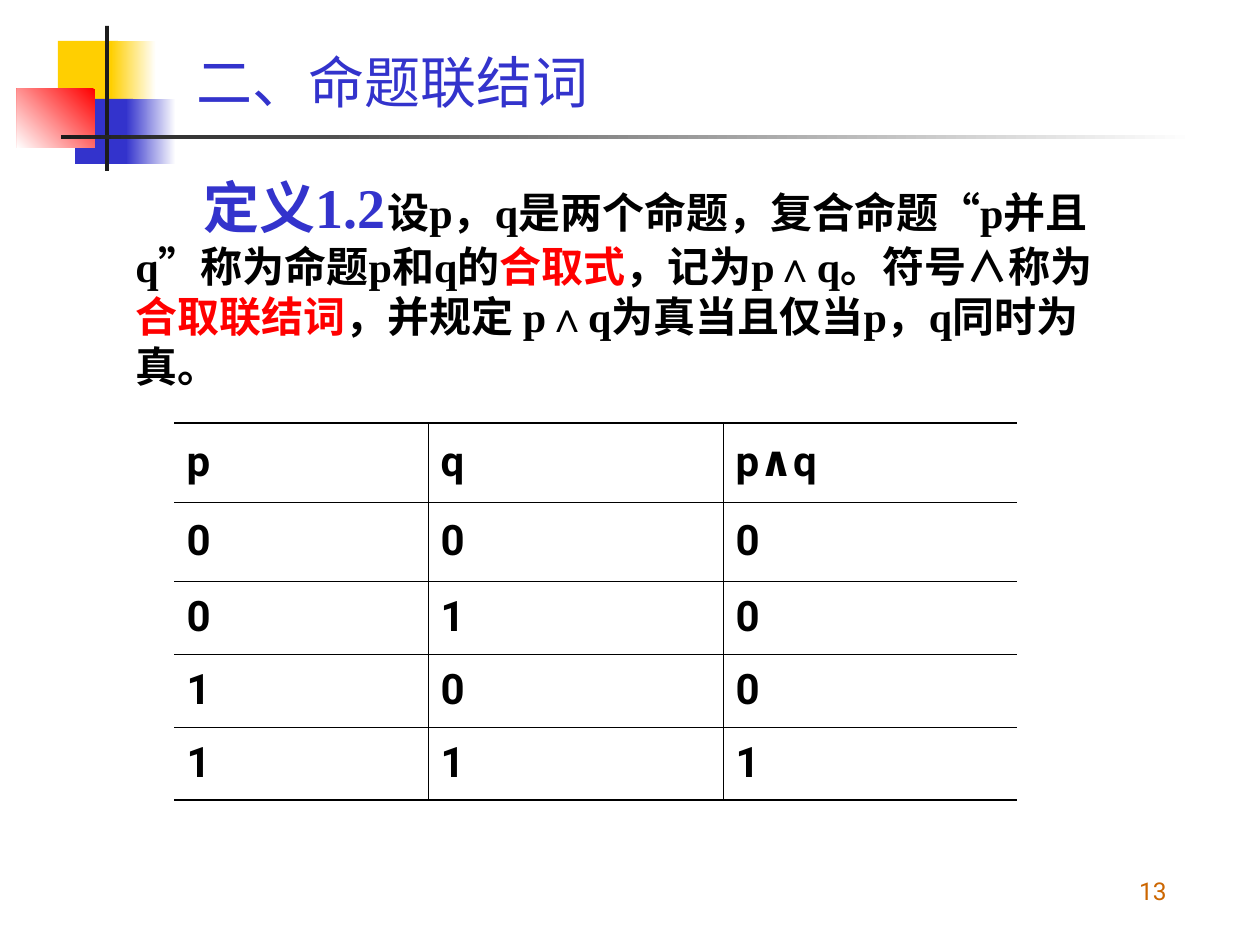
import pptx
import pptx.dml.color
import pptx.enum.shapes
import pptx.enum.text
import pptx.oxml
import pptx.oxml.ns
import pptx.util

EMU_PER_PX = 914400 / 126
BLUE, RED, BLACK, WHITE = "3333CC", "FF0000", "000000", "FFFFFF"
YELLOW, CHARCOAL, ORANGE = "FFCF01", "1C1C1C", "CC6600"
THIN, THICK = 0.45, 1.08

DEFINITION = [
    ("定义1.2", 32, BLUE),
    ("\t设p，q是两个命题，复合命题“p并且q”称为命题p和q的", 24, BLACK),
    ("合取式", 24, RED),
    ("，记为p∧q。符号∧称为", 24, BLACK),
    ("合取联结词", 24, RED),
    ("，并规定 p∧q为真当且仅当p，q同时为真。", 24, BLACK),
]
TRUTH_TABLE = [
    ("p", "q", "p∧q"),
    ("0", "0", "0"),
    ("0", "1", "0"),
    ("1", "0", "0"),
    ("1", "1", "1"),
]
COLUMN_WIDTHS = [254, 295, 294]
ROW_HEIGHTS = [79, 79, 73, 73, 73]


def px(value):
    return pptx.util.Emu(round(value * EMU_PER_PX))


def rgb(hex_string):
    return pptx.dml.color.RGBColor.from_string(hex_string)


def style(font, size, color, name="Roboto", bold=False):
    font.name, font.size, font.bold = name, pptx.util.Pt(size), bold
    font.color.rgb = rgb(color)


def add_block(slide, box, start, end=None, angle=180):
    """Add a rectangle, plain or fading from start to end (angle counter-clockwise)."""
    block = slide.shapes.add_shape(
        pptx.enum.shapes.MSO_SHAPE.RECTANGLE, *map(px, box))
    block.shadow.inherit = False
    block.line.fill.background()
    if end is None:
        block.fill.solid()
        block.fill.fore_color.rgb = rgb(start)
    else:
        block.fill.gradient()
        block.fill.gradient_angle = angle
        for stop, color in zip(block.fill.gradient_stops, (start, end)):
            stop.color.rgb = rgb(color)


def add_ornament(slide):
    add_block(slide, (58, 41, 60, 65), YELLOW)
    add_block(slide, (111, 41, 45, 65), WHITE, YELLOW)
    add_block(slide, (75, 99, 58, 65), BLUE)
    add_block(slide, (126, 99, 50, 65), WHITE, BLUE)
    add_block(slide, (17, 89, 78, 59), RED, WHITE, angle=225)
    add_block(slide, (105, 26, 4, 145), CHARCOAL)
    add_block(slide, (61, 135, 1134, 4), WHITE, CHARCOAL)


def set_title(slide, text):
    title = slide.shapes.title
    title.left, title.top, title.width, title.height = map(px, (184, 38, 1013, 87))
    title.text_frame.text = text
    title.text_frame.vertical_anchor = pptx.enum.text.MSO_ANCHOR.MIDDLE
    paragraph = title.text_frame.paragraphs[0]
    paragraph.alignment = pptx.enum.text.PP_ALIGN.LEFT
    style(paragraph.font, 32, BLUE)


def add_textbox(slide, box, anchor):
    frame = slide.shapes.add_textbox(*map(px, box)).text_frame
    frame.word_wrap = True
    frame.vertical_anchor = anchor
    return frame


def add_definition(slide):
    frame = add_textbox(slide, (123, 166, 983, 232), pptx.enum.text.MSO_ANCHOR.MIDDLE)
    paragraph = frame.paragraphs[0]
    properties = paragraph._p.get_or_add_pPr()
    properties.set("marL", "0")
    properties.set("indent", str(px(68)))
    properties.append(pptx.oxml.parse_xml(
        f'<a:tabLst {pptx.oxml.ns.nsdecls("a")}>'
        f'<a:tab pos="{px(305)}" algn="l"/></a:tabLst>'))
    for text, size, color in DEFINITION:
        run = paragraph.add_run()
        run.text = text
        style(run.font, size, color, "Times New Roman", bold=True)


def set_borders(cell, widths):
    """Set the left, right, top and bottom lines; a width of 0 hides the line."""
    properties = cell._tc.get_or_add_tcPr()
    for position, (side, width) in enumerate(zip("LRTB", widths)):
        paint = (f'<a:solidFill><a:srgbClr val="{BLACK}"/></a:solidFill>'
                 if width else "<a:noFill/>")
        properties.insert(position, pptx.oxml.parse_xml(
            f'<a:ln{side} {pptx.oxml.ns.nsdecls("a")} '
            f'w="{pptx.util.Pt(width)}">{paint}</a:ln{side}>'))


def add_truth_table(slide):
    row_count, column_count = len(ROW_HEIGHTS), len(COLUMN_WIDTHS)
    table = slide.shapes.add_table(
        row_count, column_count, px(174), px(423),
        px(sum(COLUMN_WIDTHS)), px(sum(ROW_HEIGHTS))).table
    table.first_row = table.horz_banding = False
    for column, width in zip(table.columns, COLUMN_WIDTHS):
        column.width = px(width)
    for row, height in zip(table.rows, ROW_HEIGHTS):
        row.height = px(height)
    for r, values in enumerate(TRUTH_TABLE):
        for c, value in enumerate(values):
            cell = table.cell(r, c)
            cell.text = value
            cell.vertical_anchor = pptx.enum.text.MSO_ANCHOR.MIDDLE
            cell.fill.background()
            style(cell.text_frame.paragraphs[0].font, 24, BLACK, bold=True)
            set_borders(cell, (
                THIN if c > 0 else 0,
                THIN if c < column_count - 1 else 0,
                THIN if r > 0 else THICK,
                THIN if r < row_count - 1 else THICK))


def add_page_number(slide, number):
    frame = add_textbox(slide, (917, 849, 262, 63), pptx.enum.text.MSO_ANCHOR.BOTTOM)
    paragraph = frame.paragraphs[0]
    paragraph.text = number
    paragraph.alignment = pptx.enum.text.PP_ALIGN.RIGHT
    style(paragraph.font, 14, ORANGE)


def main():
    presentation = pptx.Presentation()
    presentation.slide_width, presentation.slide_height = px(1260), px(945)
    slide = presentation.slides.add_slide(presentation.slide_layouts[5])
    add_ornament(slide)
    set_title(slide, "二、命题联结词")
    add_definition(slide)
    add_truth_table(slide)
    add_page_number(slide, "13")
    presentation.save("out.pptx")


if __name__ == "__main__":
    main()
